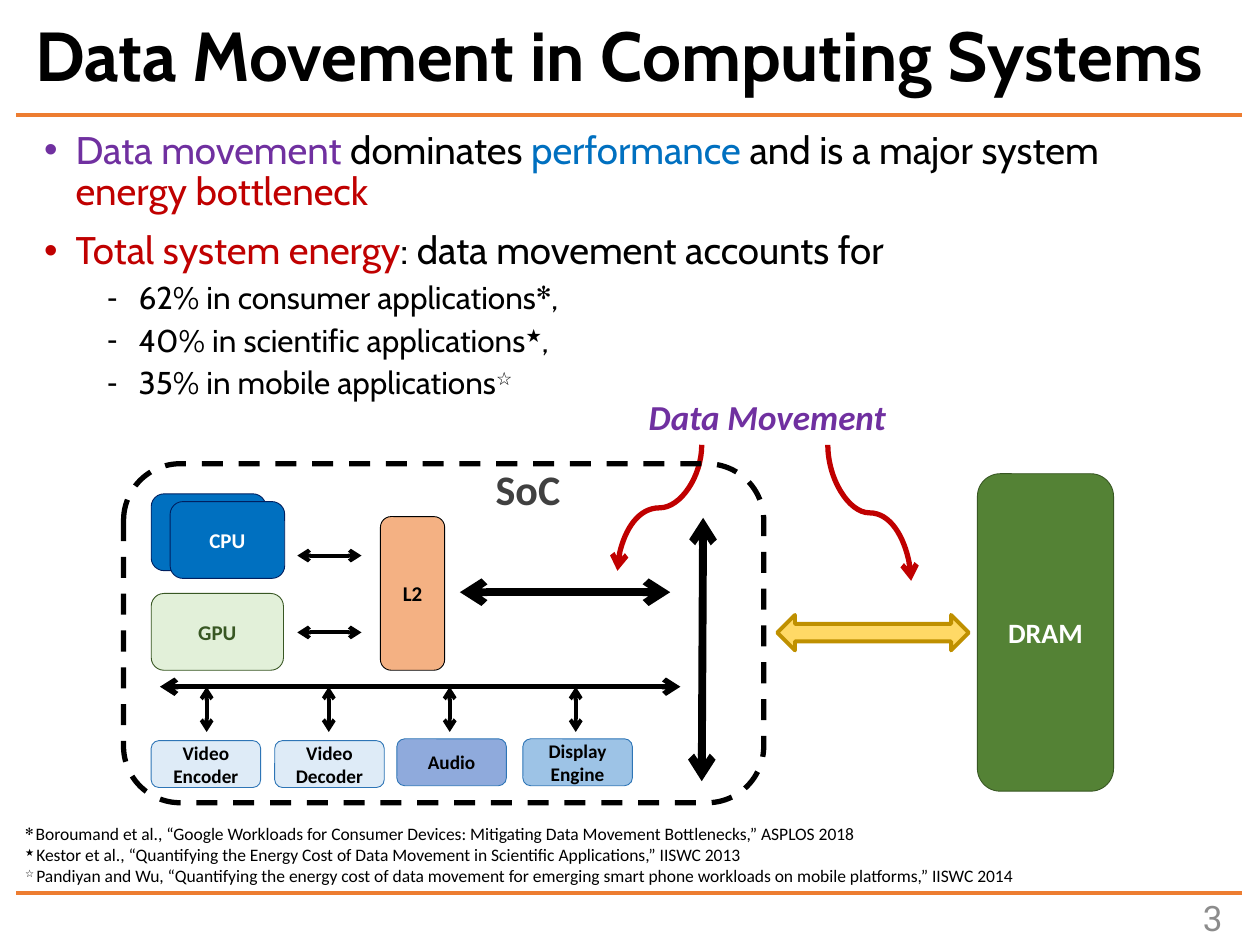
from dataclasses import dataclass
from typing import Any

from lxml import etree
from pptx import Presentation
from pptx import util as u
from pptx.dml.color import RGBColor
from pptx.enum import dml, shapes, text
from pptx.oxml import ns

COLORS = {
    "black": "000000", "white": "FFFFFF", "grey": "8C8C8C", "charcoal": "404040",
    "orange": "ED7D31", "purple": "7030A0", "blue": "0070C0", "red": "C00000",
    "navy": "002060", "green": "548235", "forest": "385723", "mint": "E2F0D9",
    "gold": "FFD966", "bronze": "BF9000", "peach": "F4B183", "steel": "2E75B6",
    "ice": "DEEBF7", "periwinkle": "8FAADC", "sky": "9DC3E6",
}
LEFT, CENTER, RIGHT = text.PP_ALIGN.LEFT, text.PP_ALIGN.CENTER, text.PP_ALIGN.RIGHT
ROUND = shapes.MSO_SHAPE.ROUNDED_RECTANGLE
BOTH_ENDS = ("headEnd", "tailEnd")


def rgb(name):
    return RGBColor.from_string(COLORS[name])


def points(*lengths):
    return [u.Pt(length) for length in lengths]


def add_element(parent, tag, **attributes):
    return etree.SubElement(parent, ns.qn(tag), attributes)


@dataclass
class SlideBuilder:
    slide: Any
    heading_font: str = "Cabin"
    label_font: str = "Calibri"
    number_font: str = "Roboto"

    def span(self, para, words, size, color="black", font=None, bold=False,
             italic=False, raised=False):
        span = para.add_run()
        span.text = words
        span.font.size = u.Pt(size)
        span.font.name = font or self.label_font
        span.font.bold = bold
        span.font.italic = italic
        span.font.color.rgb = rgb(color)
        if raised:
            span._r.get_or_add_rPr().set("baseline", "30000")

    def place(self, holder, frame):
        holder.left, holder.top, holder.width, holder.height = points(*frame)
        holder.text_frame.auto_size = text.MSO_AUTO_SIZE.NONE
        holder.text_frame.word_wrap = True
        return holder.text_frame

    def title(self, words, frame):
        box = self.place(self.slide.shapes.title, frame)
        box.vertical_anchor = text.MSO_ANCHOR.MIDDLE
        para = box.paragraphs[0]
        para.alignment = LEFT
        para.line_spacing = 0.9
        self.span(para, words, 39.6, font=self.heading_font, bold=True)

    def bullets(self, items, frame):
        box = self.place(self.slide.placeholders[1], frame)
        for index, (level, spans) in enumerate(items):
            para = box.paragraphs[0] if index == 0 else box.add_paragraph()
            mark, margin, gap, size = [("•", 18, 10, 22), ("-", 54, 5, 18)][level]
            para.level = level
            props = para._p.get_or_add_pPr()
            props.set("marL", str(u.Pt(margin)))
            props.set("indent", str(u.Pt(-18)))
            add_element(props, "a:buChar", char=mark)
            para.line_spacing = 0.9
            para.space_before = u.Pt(gap if index else 0)
            for words, color, raised in spans:
                self.span(para, words, size, color, self.heading_font, raised=raised)

    def text_box(self, frame, lines, align=LEFT, wrap=True, anchor=text.MSO_ANCHOR.TOP):
        box = self.slide.shapes.add_textbox(*points(*frame)).text_frame
        box.word_wrap = wrap
        box.vertical_anchor = anchor
        for index, spans in enumerate(lines):
            para = box.paragraphs[0] if index == 0 else box.add_paragraph()
            para.alignment = align
            for style in spans:
                self.span(para, **style)

    def block(self, frame, fill, line, label="", size=12, color="black",
              kind=ROUND, width=0.5, dashed=False):
        shape = self.slide.shapes.add_shape(kind, *points(*frame))
        shape.shadow.inherit = False
        if fill:
            shape.fill.solid()
            shape.fill.fore_color.rgb = rgb(fill)
        else:
            shape.fill.background()
        shape.line.color.rgb = rgb(line)
        shape.line.width = u.Pt(width)
        if dashed:
            shape.line.dash_style = dml.MSO_LINE.DASH
        if label:
            box = shape.text_frame
            box.word_wrap = True
            box.vertical_anchor = text.MSO_ANCHOR.MIDDLE
            para = box.paragraphs[0]
            para.alignment = CENTER
            self.span(para, label, size, color, bold=True)

    def line(self, ends, color="black", width=2.25, heads=BOTH_ENDS,
             kind=shapes.MSO_CONNECTOR.STRAIGHT):
        connector = self.slide.shapes.add_connector(kind, *points(*ends))
        connector.line.color.rgb = rgb(color)
        connector.line.width = u.Pt(width)
        for head in heads:
            add_element(connector.line._get_or_add_ln(), f"a:{head}", type="arrow")
        add_element(connector._element.spPr, "a:effectLst")
        return connector

    def curve(self, x1, y1, x2, y2):
        across, down = abs(x2 - x1), y2 - y1
        left, top = (x1 + x2 - down) / 2, (y1 + y2 - across) / 2
        connector = self.line((left, top, left + down, top + across), "red", 3,
                              ("tailEnd",), shapes.MSO_CONNECTOR.CURVE)
        frame = connector._element.spPr.find(ns.qn("a:xfrm"))
        frame.set("rot", str((90 if x2 < x1 else 270) * 60000))
        if x2 > x1:
            frame.set("flipH", "1")


def main():
    deck = Presentation()
    deck.slide_width, deck.slide_height = points(720, 540)
    page = SlideBuilder(deck.slides.add_slide(deck.slide_layouts[1]))

    page.text_box((627.8, 509.8, 77.8, 28.8),
                  [[dict(words="3", size=20, color="grey", font=page.number_font)]],
                  RIGHT, anchor=text.MSO_ANCHOR.MIDDLE)
    for y in (65.5, 510.5):
        page.line((9.4, y, 709.9, y), "orange", heads=())

    page.title("Data Movement in Computing Systems", (13, 10.1, 700.6, 47.5))
    shares = [("62% in consumer applications", "✻", ","),
              ("40% in scientific applications", "★", ","),
              ("35% in mobile applications", "☆", "")]
    page.bullets([
        (0, [("Data movement ", "purple", False), ("dominates ", "black", False),
             ("performance ", "blue", False),
             ("and is a major system ", "black", False),
             ("energy bottleneck", "red", False)]),
        (0, [("Total system energy", "red", False),
             (": data movement accounts for", "black", False)]),
        *[(1, [(words, "black", False), (mark, "black", True)]
           + ([(end, "black", False)] if end else []))
          for words, mark, end in shares],
    ], (18, 71.3, 678.2, 162))

    sources = [
        ("✻ ", "Boroumand et al., “Google Workloads for Consumer Devices: "
               "Mitigating Data Movement Bottlenecks,” ASPLOS 2018"),
        ("★ ", "Kestor et al., “Quantifying the Energy Cost of Data Movement in "
               "Scientific Applications,” IISWC 2013"),
        ("☆ ", "Pandiyan and Wu, “Quantifying the energy cost of data movement for "
               "emerging smart phone workloads on mobile platforms,” IISWC 2014"),
    ]
    page.text_box((7.2, 466.6, 589.7, 43.9),
                  [[dict(words=mark, size=10, raised=True), dict(words=words, size=10)]
                   for mark, words in sources], wrap=False)

    page.curve(401, 254.2, 352.8, 326.2)
    page.block((558.5, 270.7, 77.8, 181.4), "green", "forest", "DRAM", 16, "white")
    page.block((444.2, 351.4, 109.4, 20.2), "gold", "bronze",
               kind=shapes.MSO_SHAPE.LEFT_RIGHT_ARROW, width=2.25)
    page.curve(473, 254.2, 520.6, 331.9)
    page.text_box((330.5, 222.5, 216, 31.7),
                  [[dict(words="Data Movement", size=20, color="purple",
                         bold=True, italic=True)]], CENTER)

    page.block((86.4, 339.1, 75.6, 43.9), "mint", "forest", "GPU", color="forest")
    for x, y in ((86.4, 282.2), (97.2, 286.6)):
        page.block((x, y, 65.5, 43.9), "blue", "navy", "CPU", color="white")
    page.block((70.6, 265, 365.8, 193.7), None, "black", width=3, dashed=True)
    page.text_box((266.4, 261.4, 70.6, 36),
                  [[dict(words="SoC", size=24, color="charcoal", bold=True)]], CENTER)
    page.block((217.4, 295.2, 36.7, 87.8), "peach", "black", "L2")

    devices = [("Video Encoder", 86.4, 423.2, "ice", 118.1),
               ("Video Decoder", 157, 423.2, "ice", 187.9),
               ("Audio", 226.8, 422.2, "periwinkle", 257),
               ("Display Engine", 298.8, 422.2, "sky", 329)]
    for label, x, y, fill, arrow_x in devices:
        page.block((x, y, 62.6, 26.8), fill, "steel", label, 11)
        page.line((arrow_x, 392.4, arrow_x, 418.3))
    for y in (317.5, 361.4):
        page.line((206.6, y, 169.9, y))
    page.line((383, 338.4, 262.8, 338.4), width=4.5)
    page.line((401.8, 295.9, 401, 446.4), width=4.5)
    page.line((388.8, 392.4, 91.4, 392.4), width=3)

    deck.save("out.pptx")


if __name__ == "__main__":
    main()
